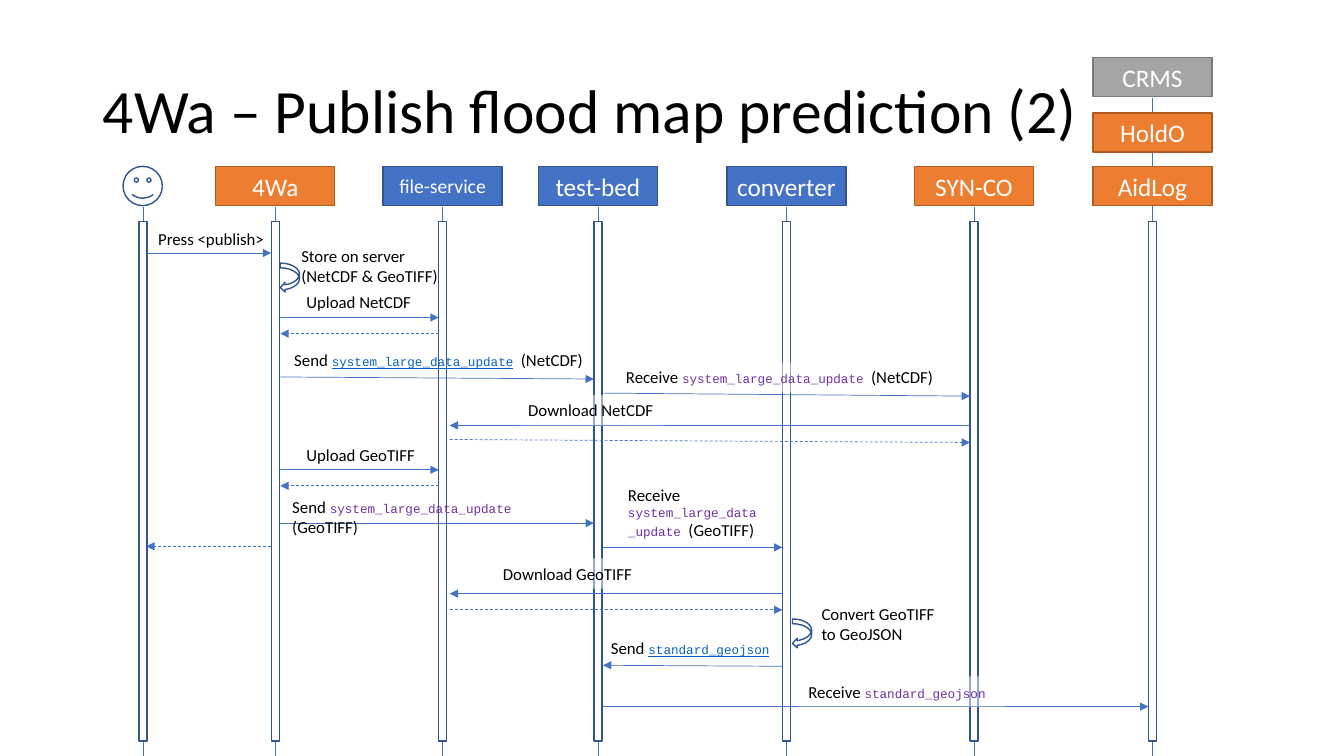
import dataclasses

import pptx
import pptx.dml.color
import pptx.enum.dml
import pptx.enum.shapes
import pptx.enum.text
import pptx.oxml.ns
import pptx.util
from lxml import etree

EMU_PER_PX = 9144  # 100 px to the inch
SLIDE_WIDTH, SLIDE_HEIGHT = 1333, 750
HEAD_WIDTH, HEAD_HEIGHT, HEAD_TOP = 118, 39, 165
LIFELINE_TOP = 205
BAR_WIDTH, BAR_TOP, BAR_HEIGHT = 8, 220, 515
LABEL_HEIGHT = 30
SHAPES = pptx.enum.shapes.MSO_SHAPE


@dataclasses.dataclass(frozen=True)
class Theme:
    font: str = "Calibri"
    code_font: str = "Courier New"
    text: str = "000000"
    white: str = "FFFFFF"
    code: str = "7030A0"
    link: str = "0563C1"
    line: str = "4472C4"
    outline: str = "325491"
    blue: tuple = ("4472C4", "325491")
    orange: tuple = ("ED7D31", "AF5C24")
    gray: tuple = ("A5A5A5", "7A7A7A")
    title_size: int = 44
    head_size: int = 18
    small_head_size: int = 14
    label_size: int = 12
    code_size: int = 9
    outline_width: float = 1
    line_width: float = 0.5


THEME = Theme()


@dataclasses.dataclass(frozen=True)
class Participant:
    """A lifeline; right_gap is where messages stop to the right of its centre."""
    center: int
    right_gap: int = 4
    name: str = ""
    colors: tuple = THEME.blue
    size: int = THEME.head_size
    lifeline_top: int = LIFELINE_TOP


USER = Participant(142, 3)
FLOOD = Participant(273, 5, "4Wa", THEME.orange)
FILES = Participant(439, 7, "file-service", size=THEME.small_head_size)
TEST_BED = Participant(593, 5, "test-bed")
CONVERTER = Participant(780, 4, "converter")
CITY = Participant(966, 4, "SYN-CO", THEME.orange)
AID = Participant(1143, 4, "AidLog", THEME.orange, lifeline_top=97)
PARTICIPANTS = [USER, FLOOD, FILES, TEST_BED, CONVERTER, CITY, AID]

# sender, receiver, y at start, y at end, dashed
MESSAGES = [
    (USER, FLOOD, 251, 251, False),
    (FLOOD, FILES, 315, 315, False),
    (FILES, FLOOD, 331, 331, True),
    (FLOOD, TEST_BED, 374, 376, False),
    (TEST_BED, CITY, 390, 393, False),
    (CITY, FILES, 422, 422, False),
    (FILES, CITY, 436, 439, True),
    (FLOOD, FILES, 466, 466, False),
    (FILES, FLOOD, 482, 482, True),
    (FLOOD, TEST_BED, 519, 519, False),
    (FLOOD, USER, 542, 542, True),
    (TEST_BED, CONVERTER, 543, 543, False),
    (CONVERTER, FILES, 589, 589, False),
    (FILES, CONVERTER, 605, 605, True),
    (CONVERTER, TEST_BED, 661, 660, False),
    (TEST_BED, AID, 701, 701, False),
]

# left, top, width, wraps, veiled, runs as (text, style)
LABELS = [
    (147, 222, 126, False, False, [("Press <publish>", "plain")]),
    (289, 239, 157, False, False, [("Store on server\n(NetCDF & GeoTIFF)", "plain")]),
    (294, 285, 125, False, False, [("Upload NetCDF", "plain")]),
    (282, 342, 307, True, False, [("Send ", "plain"), ("system_large_data_update", "link"),
                                  (" ", "code"), ("(NetCDF)", "plain")]),
    (611, 359, 338, True, True, [("Receive ", "plain"), ("system_large_data_update ", "code"),
                                 ("(NetCDF)", "plain")]),
    (514, 392, 146, False, True, [("Download NetCDF", "plain")]),
    (294, 436, 129, False, False, [("Upload GeoTIFF", "plain")]),
    (280, 488, 309, True, False, [("Send ", "plain"), ("system_large_data_update ", "code"),
                                  ("(GeoTIFF)", "plain")]),
    (613, 476, 149, True, False, [("Receive ", "plain"), ("system_large_data_update ", "code"),
                                  ("(GeoTIFF)", "plain")]),
    (489, 554, 150, False, True, [("Download GeoTIFF", "plain")]),
    (805, 594, 134, False, False, [("Convert GeoTIFF\nto GeoJSON", "plain")]),
    (596, 628, 178, False, False, [("Send ", "plain"), ("standard_geojson", "link")]),
    (792, 671, 204, True, True, [("Receive ", "plain"), ("standard_geojson", "code")]),
]


def px(*lengths):
    return [pptx.util.Emu(length * EMU_PER_PX) for length in lengths]


def rgb(color):
    return pptx.dml.color.RGBColor.from_string(color)


def format_run(run, size, color, font=THEME.font):
    run.font.name = font
    run.font.size = pptx.util.Pt(size)
    run.font.color.rgb = rgb(color)


def add_title(slide, text):
    title = slide.shapes.title
    title.left, title.top, title.width, title.height = px(92, 40, 1150, 145)
    title.text_frame.text = text
    title.text_frame.vertical_anchor = pptx.enum.text.MSO_ANCHOR.MIDDLE
    paragraph = title.text_frame.paragraphs[0]
    paragraph.alignment = pptx.enum.text.PP_ALIGN.LEFT
    paragraph.line_spacing = 0.9
    format_run(paragraph.runs[0], THEME.title_size, THEME.text)


def add_outlined(slide, preset, box, outline=THEME.outline, fill=None):
    shape = slide.shapes.add_shape(preset, *px(*box))
    shape.shadow.inherit = False
    if fill:
        shape.fill.solid()
        shape.fill.fore_color.rgb = rgb(fill)
    else:
        shape.fill.background()
    shape.line.color.rgb = rgb(outline)
    shape.line.width = pptx.util.Pt(THEME.outline_width)
    return shape


def add_head(slide, center, top, name, colors, size=THEME.head_size):
    fill, outline = colors
    box = (center - HEAD_WIDTH // 2, top, HEAD_WIDTH, HEAD_HEIGHT)
    frame = add_outlined(slide, SHAPES.RECTANGLE, box, outline, fill).text_frame
    frame.text = name
    frame.word_wrap = False
    frame.vertical_anchor = pptx.enum.text.MSO_ANCHOR.MIDDLE
    frame.paragraphs[0].alignment = pptx.enum.text.PP_ALIGN.CENTER
    format_run(frame.paragraphs[0].runs[0], size, THEME.white)


def add_line(slide, start, end, dashed=False, arrow=False):
    connector = slide.shapes.add_connector(
        pptx.enum.shapes.MSO_CONNECTOR.STRAIGHT, *px(*start, *end))
    connector.line.color.rgb = rgb(THEME.line)
    connector.line.width = pptx.util.Pt(THEME.line_width)
    if dashed:
        connector.line.dash_style = pptx.enum.dml.MSO_LINE.DASH
    properties = connector.element.spPr
    if arrow:
        outline = properties.find(pptx.oxml.ns.qn("a:ln"))
        etree.SubElement(outline, pptx.oxml.ns.qn("a:tailEnd"), type="triangle")
    etree.SubElement(properties, pptx.oxml.ns.qn("a:effectLst"))


def add_participant(slide, participant):
    center = participant.center
    add_line(slide, (center, participant.lifeline_top), (center, SLIDE_HEIGHT))
    bar = (center - BAR_WIDTH // 2, BAR_TOP, BAR_WIDTH, BAR_HEIGHT)
    add_outlined(slide, SHAPES.RECTANGLE, bar, fill=THEME.white)
    if participant.name:
        add_head(slide, center, HEAD_TOP, participant.name, participant.colors, participant.size)
    else:
        face = (center - HEAD_HEIGHT // 2 - 1, HEAD_TOP, HEAD_HEIGHT, HEAD_HEIGHT)
        add_outlined(slide, SHAPES.SMILEY_FACE, face)


def add_message(slide, sender, receiver, start_y, end_y, dashed):
    def edge(participant, other):
        rightward = other.center > participant.center
        return participant.center + (participant.right_gap if rightward else -BAR_WIDTH // 2)

    add_line(slide, (edge(sender, receiver), start_y), (edge(receiver, sender), end_y),
             dashed, arrow=True)


def add_label(slide, left, top, width, wraps, veiled, runs):
    """Add a label; a veiled one has a half transparent white ground."""
    label = slide.shapes.add_textbox(*px(left, top, width, LABEL_HEIGHT))
    if veiled:
        label.fill.solid()
        label.fill.fore_color.rgb = rgb(THEME.white)
        color = label.element.spPr.find(".//" + pptx.oxml.ns.qn("a:srgbClr"))
        etree.SubElement(color, pptx.oxml.ns.qn("a:alpha"), val="50000")
    frame = label.text_frame
    frame.word_wrap = wraps
    frame.auto_size = pptx.enum.text.MSO_AUTO_SIZE.SHAPE_TO_FIT_TEXT
    paragraph = frame.paragraphs[0]
    for text, style in runs:
        for index, line in enumerate(text.split("\n")):
            if index:
                paragraph = frame.add_paragraph()
            run = paragraph.add_run()
            run.text = line
            if style == "plain":
                format_run(run, THEME.label_size, THEME.text)
            else:
                color = THEME.link if style == "link" else THEME.code
                format_run(run, THEME.code_size, color, THEME.code_font)
                run.font.underline = style == "link"


def main():
    presentation = pptx.Presentation()
    presentation.slide_width, presentation.slide_height = px(SLIDE_WIDTH, SLIDE_HEIGHT)
    slide = presentation.slides.add_slide(presentation.slide_layouts.get_by_name("Title Only"))
    add_title(slide, "4Wa – Publish flood map prediction (2)")
    for participant in PARTICIPANTS:
        add_participant(slide, participant)
    add_head(slide, AID.center, 112, "HoldO", THEME.orange)
    add_head(slide, AID.center, 57, "CRMS", THEME.gray)
    for message in MESSAGES:
        add_message(slide, *message)
    for left, top in [(278, 261), (786, 614)]:
        add_outlined(slide, SHAPES.CURVED_LEFT_ARROW, (left, top, 19, 29))
    for label in LABELS:
        add_label(slide, *label)
    presentation.save("out.pptx")


if __name__ == "__main__":
    main()
